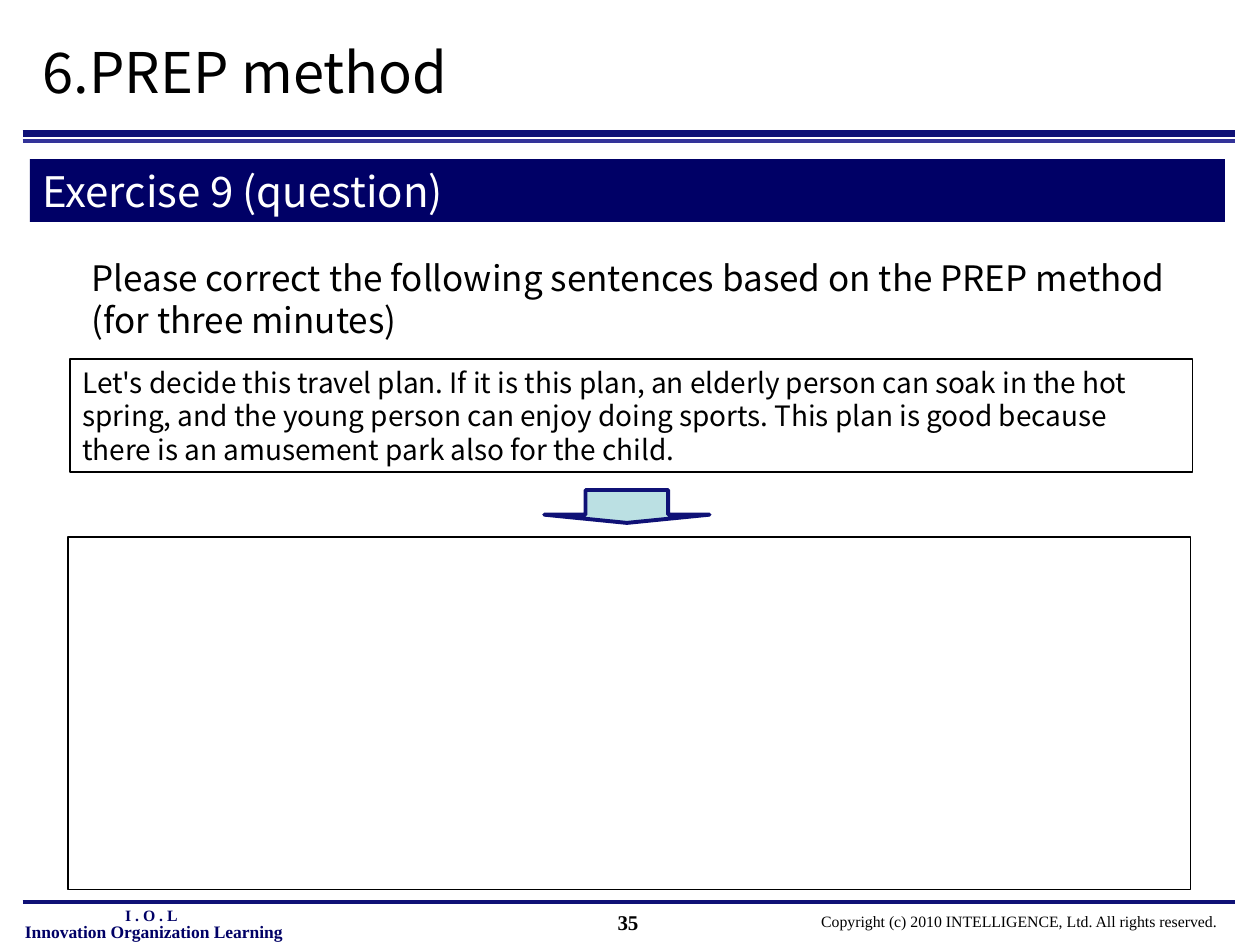
from pptx import Presentation
from pptx.dml.color import RGBColor as Rgb
from pptx.enum.shapes import MSO_CONNECTOR as Link, MSO_SHAPE as Kind
from pptx.enum.text import MSO_ANCHOR as Anchor, PP_ALIGN as Align
from pptx.oxml.ns import qn
from pptx.util import Pt
from lxml.etree import SubElement

NAVY = Rgb(0x00, 0x00, 0x66)
RULE = Rgb(0x0F, 0x11, 0x76)
INDIGO = Rgb(0x33, 0x33, 0x99)
TEAL = Rgb(0xBB, 0xE0, 0xE3)
BLACK = Rgb(0, 0, 0)
WHITE = Rgb(0xFF, 0xFF, 0xFF)
SANS = "Noto Sans CJK JP"
SERIF = "Times New Roman"


def put_text(shape, text, size, color=BLACK, face=SANS, bold=False,
             align=Align.LEFT, wrap=True):
    frame = shape.text_frame
    sides = {"margin_left": Pt(7.2), "margin_right": Pt(7.2),
             "margin_top": Pt(3.6), "margin_bottom": Pt(3.6),
             "word_wrap": wrap, "vertical_anchor": Anchor.TOP}
    for name, value in sides.items():
        setattr(frame, name, value)
    para = frame.paragraphs[0]
    para.alignment = align
    run = para.add_run()
    run.text = text
    run.font.color.rgb = color
    style = {"name": face, "size": Pt(size), "bold": bold}
    for name, value in style.items():
        setattr(run.font, name, value)
    for tag in ("a:ea", "a:cs"):
        SubElement(run.font._element, qn(tag)).set("typeface", face)


def add_text(slide, box, text, size, **style):
    shape = slide.shapes.add_textbox(*map(Pt, box))
    put_text(shape, text, size, **style)


def add_box(slide, box, kind=Kind.RECTANGLE, fill=None, line=None, width=1):
    shape = slide.shapes.add_shape(kind, *map(Pt, box))
    shape.shadow.inherit = False
    if fill is None:
        shape.fill.background()
    else:
        shape.fill.solid()
        shape.fill.fore_color.rgb = fill
    if line is None:
        shape.line.fill.background()
    else:
        shape.line.color.rgb = line
        shape.line.width = Pt(width)
    return shape


def add_rule(slide, top, color, width):
    rule = slide.shapes.add_connector(
        Link.STRAIGHT, Pt(13), Pt(top), Pt(705.6), Pt(top))
    rule.line.color.rgb = color
    rule.line.width = Pt(width)
    SubElement(rule._element.spPr, qn("a:effectLst"))


def add_frame(slide):
    for top, color, width in ((76.3, RULE, 4), (80.6, INDIGO, 2),
                              (515.5, RULE, 2)):
        add_rule(slide, top, color, width)
    add_text(slide, (462.2, 517.7, 240.5, 18),
             "Copyright (c) 2010 INTELLIGENCE, Ltd. All rights reserved.",
             9, face=SERIF, wrap=False)
    label = {"face": SERIF, "bold": True, "align": Align.CENTER}
    add_text(slide, (0, 522.7, 175.7, 17),
             "Innovation Organization Learning", 10, color=NAVY, **label)
    add_text(slide, (3, 514.1, 167, 18), "I . O . L", 9, color=NAVY, **label)
    add_text(slide, (275, 516.2, 167.8, 22), "35", 12, **label)


def main():
    deck = Presentation()
    deck.slide_width, deck.slide_height = Pt(720), Pt(540)
    slide = deck.slides.add_slide(deck.slide_layouts[6])
    add_frame(slide)
    band = add_box(slide, (17, 90.9, 683, 36), fill=NAVY)
    put_text(band, "Exercise 9 (question)", 24, color=WHITE)
    task = add_box(slide, (40, 205.2, 641.5, 64.5), line=BLACK)
    put_text(task, "Let's decide this travel plan. If it is this plan, an "
             "elderly person can soak in the hot spring, and the young person "
             "can enjoy doing sports. This plan is good because there is an "
             "amusement park also for the child.", 16)
    add_box(slide, (38.8, 306.8, 641.5, 201.6), line=BLACK)
    arrow = add_box(slide, (311, 280, 94.5, 18.8), Kind.DOWN_ARROW,
                    TEAL, RULE, 2.25)
    arrow.adjustments[0] = 0.5
    arrow.adjustments[1] = 0.25
    add_text(slide, (45.2, 143.3, 641, 55.5),
             "Please correct the following sentences based on the PREP method "
             "(for three minutes)", 20)
    add_text(slide, (17.3, 18, 553, 46), "6.PREP method", 32)
    deck.save("out.pptx")


if __name__ == "__main__":
    main()
